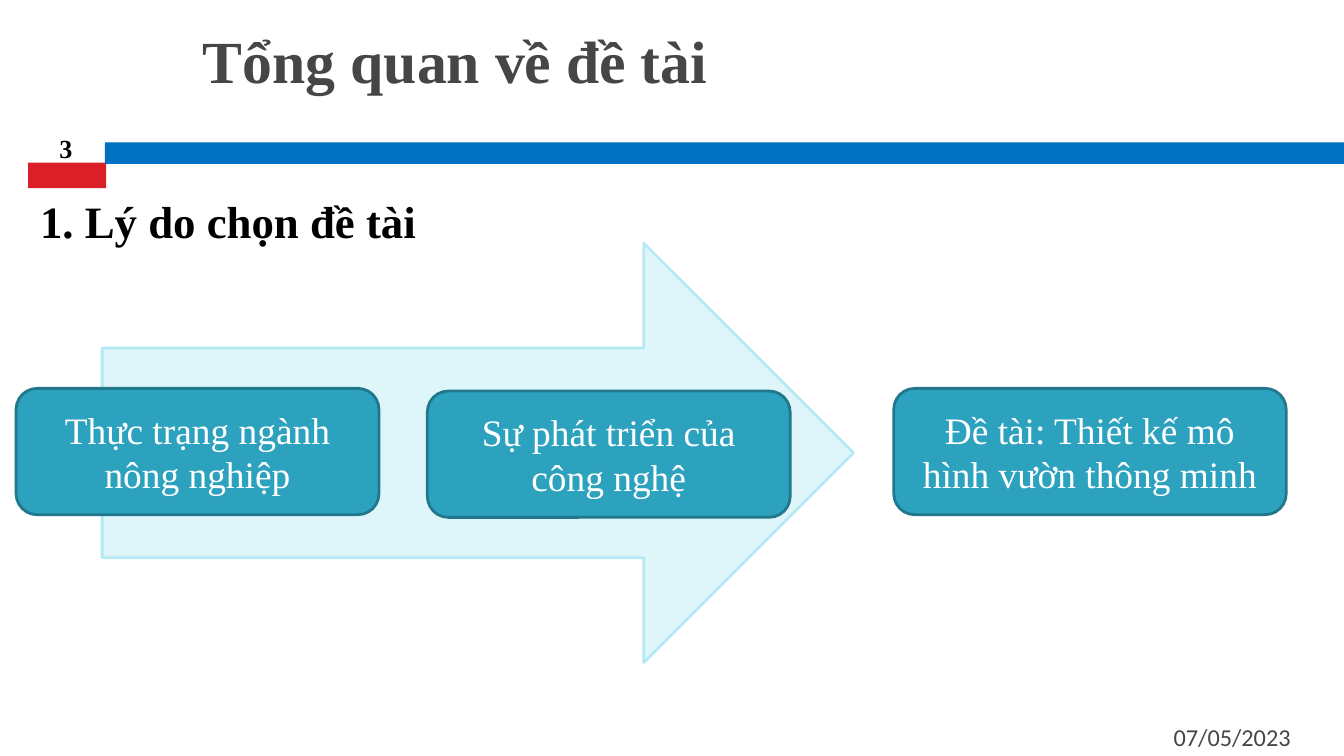
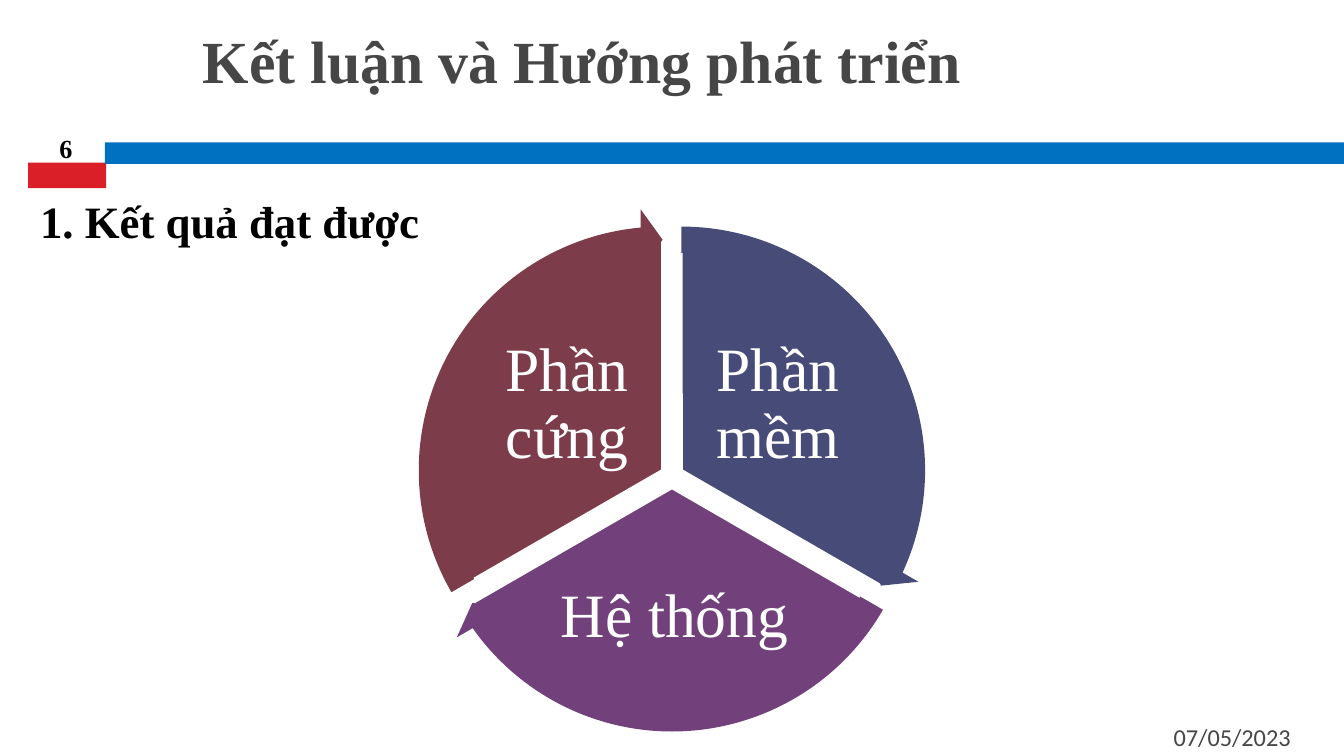
import pptx
import pptx.util
import pptx.dml.color
import pptx.enum.shapes
import pptx.enum.text

SHAPE = pptx.enum.shapes.MSO_SHAPE
ALIGN = pptx.enum.text.PP_ALIGN
ANCHOR = pptx.enum.text.MSO_ANCHOR
FIT = pptx.enum.text.MSO_AUTO_SIZE

INK = {
    "red": "DA1F28", "blue": "0070C0", "grey": "464646", "black": "000000",
    "white": "FFFFFF", "pale": "DEF5FA", "edge": "B5E9F4",
    "teal": "2DA2BF", "rim": "21788D",
    "navy": "474B78", "plum": "72417B", "wine": "7D3C4A",
}
SERIF, SANS = "Times New Roman", "Calibri"
DATE = "07/05/2023"

REASON = {"title": "Tổng quan về đề tài", "page": "3",
          "head": "1. Lý do chọn đề tài", "span": 86.7}
RESULT = {"title": "Kết luận và Hướng phát triển", "page": "6",
          "head": "1. Kết quả đạt được", "span": 38.6}

BOXES = [
    ("Đề tài: Thiết kế mô hình vườn thông minh", 66.5, 28.9, 29.2),
    ("Thực trạng ngành nông nghiệp", 1.2, 28.9, 27),
    ("Sự phát triển của công nghệ", 31.8, 29.1, 27),
]
PARTS = [
    ("Phần mềm", "navy", (50.7, 35), (162, 18), (14.72, 161.99),
     (51.7, 25, 12.4, 10.3)),
    ("Hệ thống", "plum", (50, 36.3), (18, 90), (86.72, 18.01),
     (40.9, 41.4, 18.6, 9.1)),
    ("Phần cứng", "wine", (49.3, 35), (90, 162), (158.73, 90),
     (36, 25, 12.4, 10.3)),
]
PIE, RING = 34.7, 39

deck = pptx.Presentation()
deck.slide_width = pptx.util.Inches(10)
deck.slide_height = pptx.util.Inches(5.625)
CELL = deck.slide_width / 100


def grid(*cells):
    return [round(cell * CELL) for cell in cells]


def tint(name):
    return pptx.dml.color.RGBColor.from_string(INK[name])


def write(shape, text, size, ink, font=SERIF, bold=False,
          align=ALIGN.LEFT, anchor=ANCHOR.TOP):
    frame = shape.text_frame
    frame.text = text
    frame.word_wrap = True
    frame.auto_size = FIT.NONE
    frame.vertical_anchor = anchor
    for para in frame.paragraphs:
        para.alignment = align
        for run in para.runs:
            run.font.size = pptx.util.Pt(size)
            run.font.name = font
            run.font.bold = bold
            run.font.color.rgb = tint(ink)
    return frame


def label(slide, area, text, size, ink, **look):
    return write(slide.shapes.add_textbox(*grid(*area)), text, size, ink, **look)


def draw(slide, kind, area, fill, line=None, adjust=()):
    shape = slide.shapes.add_shape(kind, *grid(*area))
    shape.shadow.inherit = False
    shape.fill.solid()
    shape.fill.fore_color.rgb = tint(fill)
    if line:
        shape.line.color.rgb = tint(line)
        shape.line.width = pptx.util.Pt(1.5)
    else:
        shape.line.fill.background()
    for spot, value in enumerate(adjust):
        shape.adjustments[spot] = value
    return shape


def disc(slide, kind, mid, size, *style):
    area = (mid[0] - size / 2, mid[1] - size / 2, size, size)
    return draw(slide, kind, area, *style)


def start(page):
    slide = deck.slides.add_slide(deck.slide_layouts[5])
    draw(slide, SHAPE.RECTANGLE, (2.1, 12.1, 5.8, 1.9), "red")
    draw(slide, SHAPE.RECTANGLE, (7.8, 10.6, 92.2, 1.6), "blue")
    title = slide.shapes.title
    title.left, title.top, title.width, title.height = grid(14.1, 1.3, 84.4, 8.9)
    write(title, page["title"], 32, "grey", bold=True)
    label(slide, (67.8, 53.3, 29.2, 3), DATE, 13, "grey", font=SANS,
          align=ALIGN.RIGHT, anchor=ANCHOR.MIDDLE)
    label(slide, (2, 9.2, 5.8, 3.5), page["page"], 14, "black", bold=True,
          align=ALIGN.CENTER, anchor=ANCHOR.BOTTOM)
    head = label(slide, (2, 13.9, page["span"], 5), page["head"], 24, "black",
                 bold=True)
    head.auto_size = FIT.SHAPE_TO_FIT_TEXT
    return slide


def reason():
    slide = start(REASON)
    draw(slide, SHAPE.RIGHT_ARROW, (7.6, 18.1, 55.9, 31.2), "pale", "edge")
    for text, left, top, width in BOXES:
        box = draw(slide, SHAPE.ROUNDED_RECTANGLE, (left, top, width, 9.4),
                   "teal", "rim")
        write(box, text, 20, "white", align=ALIGN.CENTER, anchor=ANCHOR.MIDDLE)


def result():
    slide = start(RESULT)
    for text, fill, mid, sweep, turn, area in PARTS:
        disc(slide, SHAPE.PIE, mid, PIE, fill, "white", sweep)
        frame = label(slide, area, text, 33, "white", align=ALIGN.CENTER,
                      anchor=ANCHOR.MIDDLE)
        frame.margin_left = frame.margin_right = pptx.util.Inches(0.05)
        frame.paragraphs[0].line_spacing = 0.9
    for text, fill, mid, sweep, turn, area in PARTS:
        disc(slide, SHAPE.CIRCULAR_ARROW, mid, RING, fill, None,
             (0.05, 3.28, *turn, 0.06))


if __name__ == "__main__":
    reason()
    result()
    deck.save("out.pptx")
